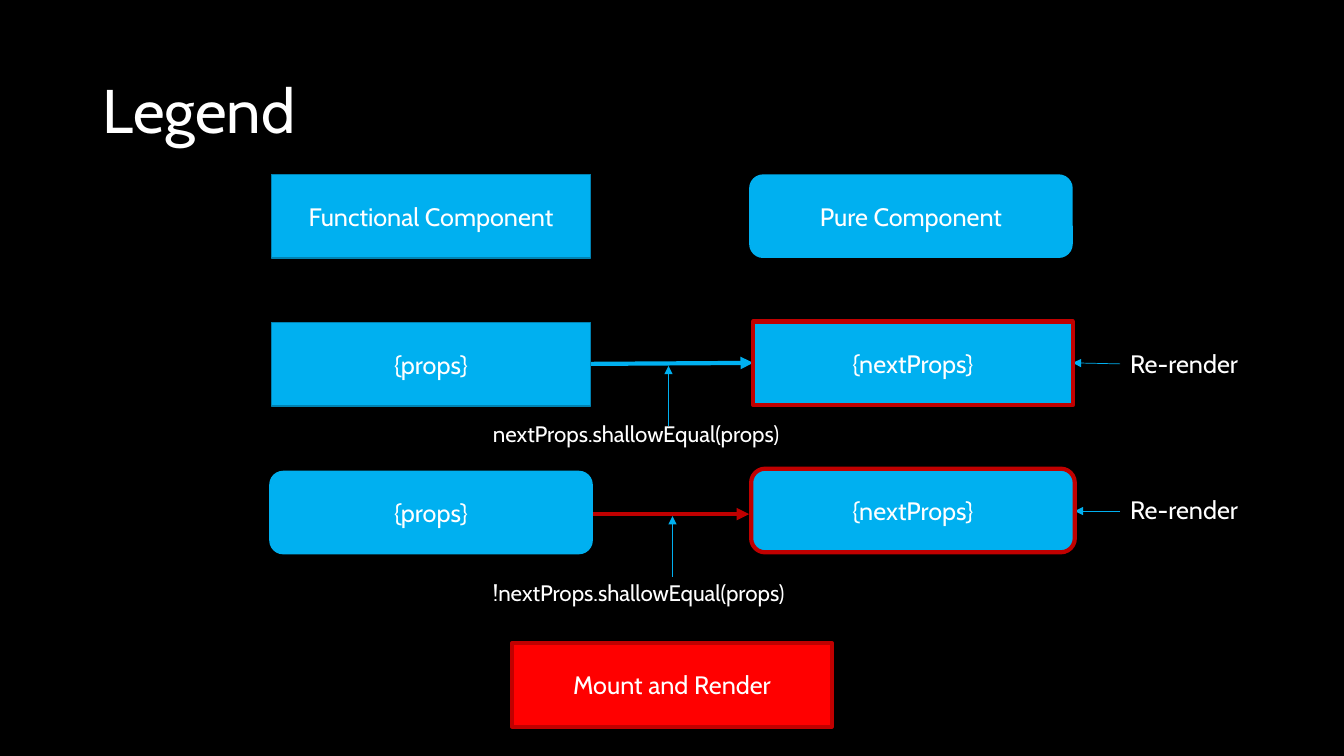
"""Build the legend slide for component rendering diagrams."""
from dataclasses import dataclass
from typing import Optional

from lxml.etree import SubElement
from pptx import Presentation
from pptx.dml.color import RGBColor
from pptx.enum.shapes import MSO_CONNECTOR, MSO_SHAPE
from pptx.enum.text import MSO_ANCHOR, PP_ALIGN
from pptx.oxml.ns import qn
from pptx.slide import Slide
from pptx.text.text import TextFrame
from pptx.util import Inches, Pt

BLACK = RGBColor(0x00, 0x00, 0x00)
WHITE = RGBColor(0xFF, 0xFF, 0xFF)
BLUE = RGBColor(0x00, 0xB0, 0xF0)
BLUE_EDGE = RGBColor(0x00, 0x82, 0xB2)
RED = RGBColor(0xFF, 0x00, 0x00)
DARK_RED = RGBColor(0xC0, 0x00, 0x00)

FONT = "Cabin"
PLAIN_WIDTH, PURE_WIDTH, COMPONENT_HEIGHT = 3.17, 3.21, 0.83


@dataclass(frozen=True)
class Component:
    """A box standing for a component; pure ones are rounded."""
    text: str
    left: float
    top: float
    pure: bool = False
    fill: RGBColor = BLUE
    edge: Optional[RGBColor] = None
    edge_width: float = 3


@dataclass(frozen=True)
class Label:
    """A caption beside or below an arrow."""
    text: str
    left: float
    top: float
    width: float
    height: float
    size: int


@dataclass(frozen=True)
class Arrow:
    """A straight arrow between two points."""
    start: tuple[float, float]
    end: tuple[float, float]
    color: RGBColor = BLUE
    width: float = 0.5


COMPONENTS = [
    Component("Functional Component", 2.69, 1.73, edge=BLUE_EDGE, edge_width=1),
    Component("{props}", 2.69, 3.2, edge=BLUE_EDGE, edge_width=1),
    Component("{nextProps}", 7.47, 3.19, edge=DARK_RED),
    Component("{nextProps}", 7.45, 4.65, pure=True, edge=DARK_RED),
    Component("{props}", 2.67, 4.67, pure=True),
    Component("Mount and Render", 5.08, 6.38, fill=RED, edge=DARK_RED),
    Component("Pure Component", 7.43, 1.73, pure=True),
]
LABELS = [
    Label("Re-render", 11.11, 3.41, 1.5, 0.4, 18),
    Label("Re-render", 11.11, 4.86, 1.5, 0.4, 18),
    Label("nextProps.shallowEqual(props)", 4.79, 4.12, 3.75, 0.37, 16),
    Label("!nextProps.shallowEqual(props)", 4.79, 5.7, 3.75, 0.37, 16),
]
ARROWS = [
    Arrow((5.86, 3.61), (7.47, 3.6), width=3),
    Arrow((5.82, 5.1), (7.43, 5.1), DARK_RED, 3),
    Arrow((11.11, 3.61), (10.64, 3.6)),
    Arrow((11.11, 5.07), (10.66, 5.07)),
    Arrow((6.63, 4.23), (6.63, 3.63)),
    Arrow((6.67, 5.72), (6.67, 5.12)),
]


def write(frame: TextFrame, text: str, size: int, align: PP_ALIGN = PP_ALIGN.LEFT) -> None:
    """Fill a text frame with one white paragraph."""
    frame.text = text
    frame.word_wrap = True
    paragraph = frame.paragraphs[0]
    paragraph.alignment = align
    paragraph.font.name = FONT
    paragraph.font.size = Pt(size)
    paragraph.font.color.rgb = WHITE


def draw_title(slide: Slide, text: str) -> None:
    """Place and format the title placeholder."""
    title = slide.shapes.title
    title.left, title.top = Inches(0.92), Inches(0.4)
    title.width, title.height = Inches(11.5), Inches(1.45)
    write(title.text_frame, text, 44)
    title.text_frame.vertical_anchor = MSO_ANCHOR.MIDDLE
    title.text_frame.paragraphs[0].line_spacing = 0.9


def draw_label(slide: Slide, label: Label) -> None:
    """Draw a caption as a text box."""
    caption = slide.shapes.add_textbox(
        Inches(label.left), Inches(label.top), Inches(label.width), Inches(label.height))
    write(caption.text_frame, label.text, label.size)


def draw_arrow(slide: Slide, arrow: Arrow) -> None:
    """Draw a connector with a triangular head at its end."""
    points = [Inches(value) for value in (*arrow.start, *arrow.end)]
    connector = slide.shapes.add_connector(MSO_CONNECTOR.STRAIGHT, *points)
    connector.line.color.rgb = arrow.color
    connector.line.width = Pt(arrow.width)
    properties = connector.element.spPr
    SubElement(properties.find(qn("a:ln")), qn("a:tailEnd"), type="triangle")
    SubElement(properties, qn("a:effectLst"))


def draw_component(slide: Slide, component: Component) -> None:
    """Draw a component box with centred text."""
    outline = MSO_SHAPE.ROUNDED_RECTANGLE if component.pure else MSO_SHAPE.RECTANGLE
    width = PURE_WIDTH if component.pure else PLAIN_WIDTH
    box = slide.shapes.add_shape(
        outline, Inches(component.left), Inches(component.top),
        Inches(width), Inches(COMPONENT_HEIGHT))
    box.shadow.inherit = False
    box.fill.solid()
    box.fill.fore_color.rgb = component.fill
    if component.edge is None:
        box.line.fill.background()
    else:
        box.line.color.rgb = component.edge
        box.line.width = Pt(component.edge_width)
    write(box.text_frame, component.text, 18, PP_ALIGN.CENTER)
    box.text_frame.vertical_anchor = MSO_ANCHOR.MIDDLE


def main() -> None:
    """Assemble and save the slide."""
    presentation = Presentation()
    presentation.slide_width, presentation.slide_height = Inches(13.33), Inches(7.5)
    slide = presentation.slides.add_slide(presentation.slide_layouts[5])
    slide.background.fill.solid()
    slide.background.fill.fore_color.rgb = BLACK
    draw_title(slide, "Legend")
    for label in LABELS:
        draw_label(slide, label)
    for arrow in ARROWS:
        draw_arrow(slide, arrow)
    for component in COMPONENTS:
        draw_component(slide, component)
    presentation.save("out.pptx")


main()
